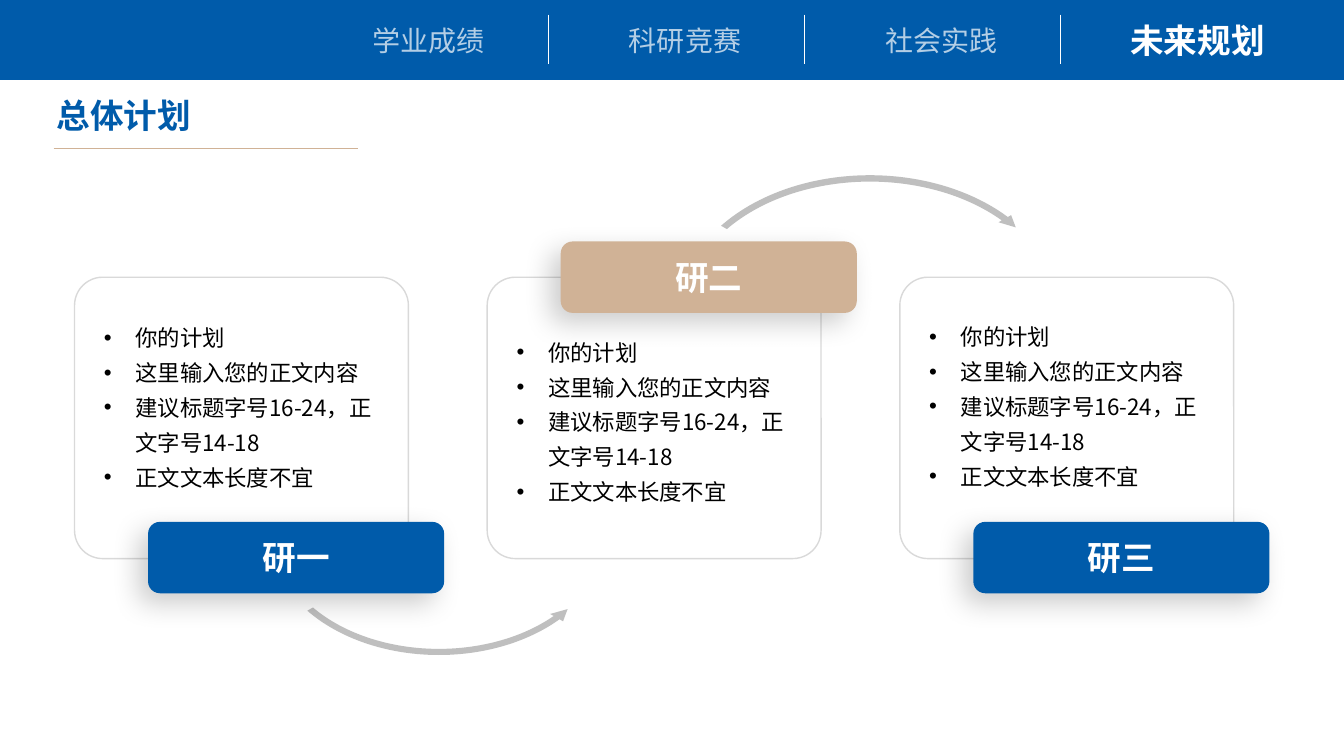
import pptx
import pptx.util
import pptx.dml.color
import pptx.enum.shapes
import pptx.enum.text
import pptx.oxml
import pptx.oxml.ns

SHAPE = pptx.enum.shapes.MSO_SHAPE
ALIGN = pptx.enum.text.PP_ALIGN
ANCHOR = pptx.enum.text.MSO_ANCHOR
NS = pptx.oxml.ns.nsdecls("a")
SCALE = 9525
HUES = {"blue": "005BAA", "tan": "D0B296", "edge": "D9D9D9",
        "gray": "BFBFBF", "white": "FFFFFF", "black": "000000"}
SANS = "Noto Sans CJK SC"


class Deck:
    """Holds the style and the current slide, and draws each kind of element."""

    def __init__(self, wide, high):
        self.show = pptx.Presentation()
        self.show.slide_width = self.px(wide)
        self.show.slide_height = self.px(high)
        self.slide = self.show.slides.add_slide(self.show.slide_layouts[6])

    def px(self, size):
        return pptx.util.Emu(size * SCALE)

    def hue(self, name):
        return pptx.dml.color.RGBColor.from_string(HUES[name])

    def node(self, home, text):
        tag, rest = text.split(" ", 1)
        item = pptx.oxml.parse_xml(f"<a:{tag} {NS} {rest}")
        home.append(item)
        return item

    def shape(self, kind, box, fill=None, line=None, adj=()):
        item = self.slide.shapes.add_shape(kind, *map(self.px, box))
        item.shadow.inherit = False
        for spot, value in enumerate(adj):
            item.adjustments[spot] = value
        if fill:
            item.fill.solid()
            item.fill.fore_color.rgb = self.hue(fill)
        else:
            item.fill.background()
        if line:
            item.line.color.rgb = self.hue(line)
            item.line.width = pptx.util.Pt(1)
        else:
            item.line.fill.background()
        return item

    def shade(self, item):
        list_ = item._element.spPr.find(pptx.oxml.ns.qn("a:effectLst"))
        self.node(list_, 'outerShdw blurRad="254000" dist="127000" dir="8100000" '
                  'algn="tr" rotWithShape="0"><a:srgbClr val="000000">'
                  '<a:alpha val="20000"/></a:srgbClr></a:outerShdw>')

    def line(self, start, end, hue):
        kind = pptx.enum.shapes.MSO_CONNECTOR.STRAIGHT
        item = self.slide.shapes.add_connector(kind, *map(self.px, start + end))
        item.line.color.rgb = self.hue(hue)
        item.line.width = pptx.util.Pt(0.5)
        self.node(item._element.spPr, "effectLst />")

    def frame(self, item, pads=(0, 0, 0, 0), anchor=ANCHOR.MIDDLE):
        area = item.text_frame
        area.word_wrap = True
        area.vertical_anchor = anchor
        (area.margin_left, area.margin_top,
         area.margin_right, area.margin_bottom) = map(self.px, pads)
        return area

    def run(self, para, text, size, hue, bold=False, face=SANS, alpha=None):
        run = para.add_run()
        run.text = text
        font = run.font
        font.size = pptx.util.Pt(size)
        font.bold = bold
        font.color.rgb = self.hue(hue)
        font.name = face
        props = run._r.get_or_add_rPr()
        self.node(props, f'ea typeface="{SANS}"/>')
        if alpha:
            tint = props.find(".//" + pptx.oxml.ns.qn("a:srgbClr"))
            self.node(tint, f'alpha val="{alpha * 1000}"/>')

    def text(self, box, words, size, hue, align=ALIGN.LEFT, pads=(0, 0, 0, 0),
             space=None, **style):
        item = self.slide.shapes.add_textbox(*map(self.px, box))
        para = self.frame(item, pads).paragraphs[0]
        para.alignment = align
        para.line_spacing = space
        self.run(para, words, size, hue, **style)

    def badge(self, box, words, fill):
        item = self.shape(SHAPE.ROUNDED_RECTANGLE, box, fill)
        self.shade(item)
        para = self.frame(item).paragraphs[0]
        para.alignment = ALIGN.CENTER
        self.run(para, words, 24, "white", bold=True)

    def list(self, box, lines):
        item = self.slide.shapes.add_textbox(*map(self.px, box))
        area = self.frame(item, anchor=ANCHOR.TOP)
        for spot, words in enumerate(lines):
            para = area.add_paragraph() if spot else area.paragraphs[0]
            props = para._p.get_or_add_pPr()
            props.set("marL", str(self.px(30)))
            props.set("indent", str(self.px(-30)))
            self.node(props, 'buFont typeface="Arial"/>')
            self.node(props, 'buChar char="•"/>')
            para.line_spacing = 1.3
            self.run(para, words, 16, "black")


def main():
    deck = Deck(1280, 720)
    deck.text((46, 91, 512, 42), "总体计划", 24, "blue", pads=(8, 4, 8, 4),
              space=0.9, bold=True, face="Arial")
    deck.shape(SHAPE.RECTANGLE, (0, 0, 1280, 76), "blue")
    deck.line((51, 141), (341, 141), "tan")

    tabs = ["学业成绩", "科研竞赛", "社会实践", "未来规划"]
    for spot, name in enumerate(tabs):
        left = 278 + 244 * spot
        live = name == tabs[-1]
        deck.text((left, 5, 244, 66), name, 24 if live else 20, "white",
                  ALIGN.CENTER, (27, 5, 10, 5), bold=live, face="Arial",
                  alpha=None if live else 70)
        if spot:
            deck.line((left, 14), (left, 61), "white")

    deck.shape(SHAPE.LEFT_CIRCULAR_ARROW, (253, 393, 330, 235), "gray",
               adj=(0.025, 3.094, 20.849, 90.245, 0.03))
    deck.shape(SHAPE.CIRCULAR_ARROW, (643, 163, 371, 265), "gray",
               adj=(0.023, 2.738, 195.507, 125.755, 0.026))

    plan = ["你的计划", "这里输入您的正文内容",
            "建议标题字号16-24，正文字号14-18", "正文文本长度不宜"]
    years = [("研一", "blue", 497, 301), ("研二", "tan", 230, 315),
             ("研三", "blue", 497, 300)]
    for spot, (name, fill, top, body) in enumerate(years):
        left = 71 + 393 * spot
        deck.shape(SHAPE.ROUNDED_RECTANGLE, (left, 264, 318, 268),
                   line="edge", adj=(0.1,))
        deck.badge((left + 70, top, 282, 68), name, fill)
        deck.list((left + 28, body, 262, 165), plan)

    deck.show.save("out.pptx")


if __name__ == "__main__":
    main()
